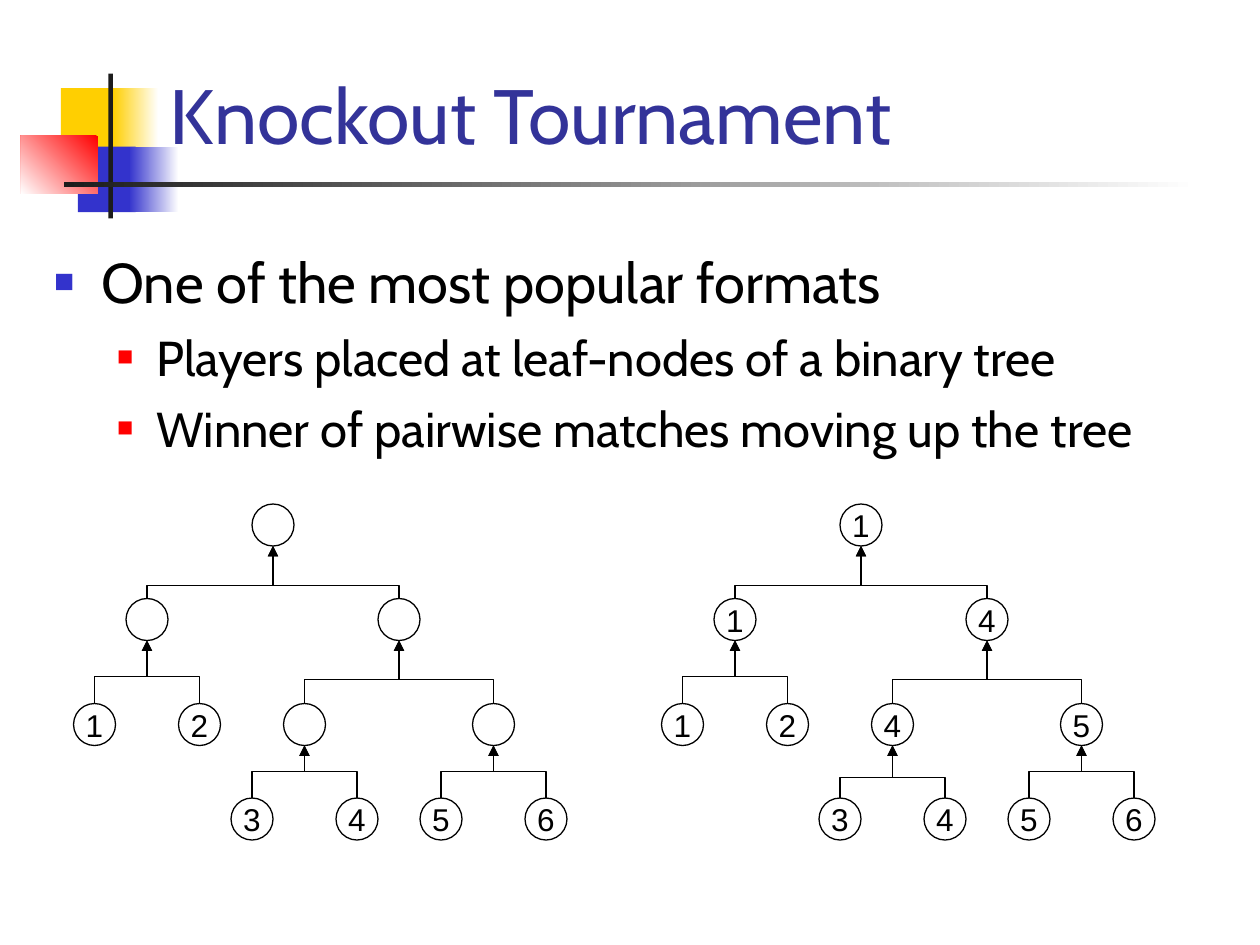
from lxml.etree import SubElement
from pptx import Presentation
from pptx.dml.color import RGBColor
from pptx.enum.shapes import MSO_CONNECTOR, MSO_SHAPE
from pptx.enum.text import MSO_ANCHOR, PP_ALIGN
from pptx.oxml.ns import qn
from pptx.util import Pt

COLORS = {
    "black": "000000", "white": "FFFFFF", "ink": "1C1C1C", "title": "333399",
    "yellow": "FFCF01", "blue": "3333CC", "red": "FF0000",
}
TITLE = "Knockout Tournament"
BULLETS = [  # level, text
    (0, "One of the most popular formats"),
    (1, "Players placed at leaf-nodes of a binary tree"),
    (1, "Winner of pairwise matches moving up the tree"),
]
# size, left indent, hanging, space before, bullet colour, bullet percent
LEVELS = [(32, 27, 27, 0, "blue", 60), (28, 58.5, 22.5, 7, "red", 55)]

# left, top, width, height, colours (two for a gradient), gradient angle
ORNAMENTS = [
    (34.8, 50.4, 34.4, 37.4, ["yellow"], 0),
    (64.5, 50.4, 26, 37.4, ["white", "yellow"], 180),
    (44.6, 83.8, 33, 37.4, ["blue"], 0),
    (73.7, 83.8, 28.5, 37.4, ["white", "blue"], 180),
    (12, 77.6, 44, 33.2, ["red", "white"], 225),
    (62, 42, 2.5, 82.8, ["ink"], 0),
    (36.5, 104.2, 648, 2.5, ["white", "ink"], 180),
]

NODE = 24
ROW_TOPS = [288, 342, 402, 456]
NODES = {  # name: (row, left within the tree)
    "final": (0, 102), "semi left": (1, 30), "semi right": (1, 174),
    "1": (2, 0), "2": (2, 60), "upper": (2, 120), "lower": (2, 228),
    "3": (3, 90), "4": (3, 150), "5": (3, 198), "6": (3, 258),
}
MATCHES = [  # winner's node, players' nodes, bend position
    ("semi left", ("1", "2"), 0.43),
    ("upper", ("3", "4"), 0.5),
    ("lower", ("5", "6"), 0.5),
    ("semi right", ("upper", "lower"), 0.38),
    ("final", ("semi left", "semi right"), 0.25),
]
TREES = [  # left, winners, bends that differ
    (42, {}, {}),
    (378, {"semi left": "1", "upper": "4", "lower": "5", "semi right": "4",
           "final": "1"}, {"upper": 0.39}),
]

presentation = Presentation()
presentation.slide_width, presentation.slide_height = Pt(720), Pt(540)
slide = presentation.slides.add_slide(presentation.slide_layouts[6])


def color(name):
    return RGBColor.from_string(COLORS[name])


def set_font(paragraph, name, size, color_name):
    paragraph.font.name = name
    paragraph.font.size = Pt(size)
    paragraph.font.color.rgb = color(color_name)


def add_text_box(left, top, width, height):
    text_frame = slide.shapes.add_textbox(
        Pt(left), Pt(top), Pt(width), Pt(height)).text_frame
    text_frame.word_wrap = True
    return text_frame


def add_bullet(paragraph, left, hanging, color_name, percent):
    properties = paragraph._p.get_or_add_pPr()
    properties.set("marL", str(Pt(left)))
    properties.set("indent", str(-Pt(hanging)))
    bullet_color = SubElement(properties, qn("a:buClr"))
    SubElement(bullet_color, qn("a:srgbClr"), val=COLORS[color_name])
    SubElement(properties, qn("a:buSzPct"), val=str(percent * 1000))
    SubElement(properties, qn("a:buFont"), typeface="Arial")
    SubElement(properties, qn("a:buChar"), char="■")


def add_ornament(left, top, width, height, names, angle):
    shape = slide.shapes.add_shape(
        MSO_SHAPE.RECTANGLE, Pt(left), Pt(top), Pt(width), Pt(height))
    shape.shadow.inherit = False
    shape.line.fill.background()
    if len(names) == 1:
        shape.fill.solid()
        shape.fill.fore_color.rgb = color(names[0])
        return
    shape.fill.gradient()
    shape.fill.gradient_angle = angle
    for stop, name in zip(shape.fill.gradient_stops, names):
        stop.color.rgb = color(name)


def add_node(left, top, label):
    shape = slide.shapes.add_shape(
        MSO_SHAPE.OVAL, Pt(left), Pt(top), Pt(NODE), Pt(NODE))
    shape.shadow.inherit = False
    shape.fill.background()
    shape.line.color.rgb = color("black")
    shape.line.width = Pt(0.75)
    if label:
        text_frame = shape.text_frame
        text_frame.text = label
        text_frame.word_wrap = False
        text_frame.vertical_anchor = MSO_ANCHOR.MIDDLE
        paragraph = text_frame.paragraphs[0]
        paragraph.alignment = PP_ALIGN.CENTER
        set_font(paragraph, "Arial", 18, "black")


def add_advance(start_x, start_y, end_x, end_y, bend):
    """Elbow arrow going up, across and up: a turned horizontal elbow."""
    length, spread = start_y - end_y, abs(end_x - start_x)
    left = (start_x + end_x - length) / 2
    top = (start_y + end_y - spread) / 2
    connector = slide.shapes.add_connector(
        MSO_CONNECTOR.ELBOW, Pt(left), Pt(top), Pt(left + length), Pt(top + spread))
    connector.line.color.rgb = color("black")
    connector.line.width = Pt(0.75)
    properties = connector._element.spPr
    rightward = start_x < end_x
    transform = properties.find(qn("a:xfrm"))
    transform.set("rot", str((90 if rightward else 270) * 60000))
    transform.set("flipH", "1" if rightward else "0")
    transform.set("flipV", "1")
    geometry = properties.find(qn("a:prstGeom"))
    adjustments = geometry.find(qn("a:avLst"))
    if adjustments is None:
        adjustments = SubElement(geometry, qn("a:avLst"))
    SubElement(adjustments, qn("a:gd"), name="adj1", fmla=f"val {round(bend * 100000)}")
    SubElement(properties.find(qn("a:ln")), qn("a:tailEnd"), type="triangle")
    SubElement(properties, qn("a:effectLst"))


# Corner ornament and rule
for ornament in ORNAMENTS:
    add_ornament(*ornament)

# Title
title_frame = add_text_box(90, 23.8, 613.4, 71.3)
title_frame.vertical_anchor = MSO_ANCHOR.BOTTOM
title_frame.text = TITLE
set_font(title_frame.paragraphs[0], "Cabin", 44, "title")

# Bulleted text
body_frame = add_text_box(23.8, 138, 696.2, 142)
body_frame.text = "\n".join(text for _, text in BULLETS)
for paragraph, (level, _) in zip(body_frame.paragraphs, BULLETS):
    size, left, hanging, space, bullet_color, percent = LEVELS[level]
    paragraph.level = level
    paragraph.space_before = Pt(space)
    add_bullet(paragraph, left, hanging, bullet_color, percent)
    set_font(paragraph, "Cabin", size, "black")

# Tournament trees, before and after play
for tree_left, winners, bends in TREES:
    for name, (row, left) in NODES.items():
        label = name if name.isdigit() else winners.get(name)
        add_node(tree_left + left, ROW_TOPS[row], label)
    for winner, players, bend in MATCHES:
        winner_row, winner_left = NODES[winner]
        for player in players:
            row, left = NODES[player]
            add_advance(tree_left + left + NODE / 2, ROW_TOPS[row],
                        tree_left + winner_left + NODE / 2,
                        ROW_TOPS[winner_row] + NODE, bends.get(winner, bend))

presentation.save("out.pptx")
